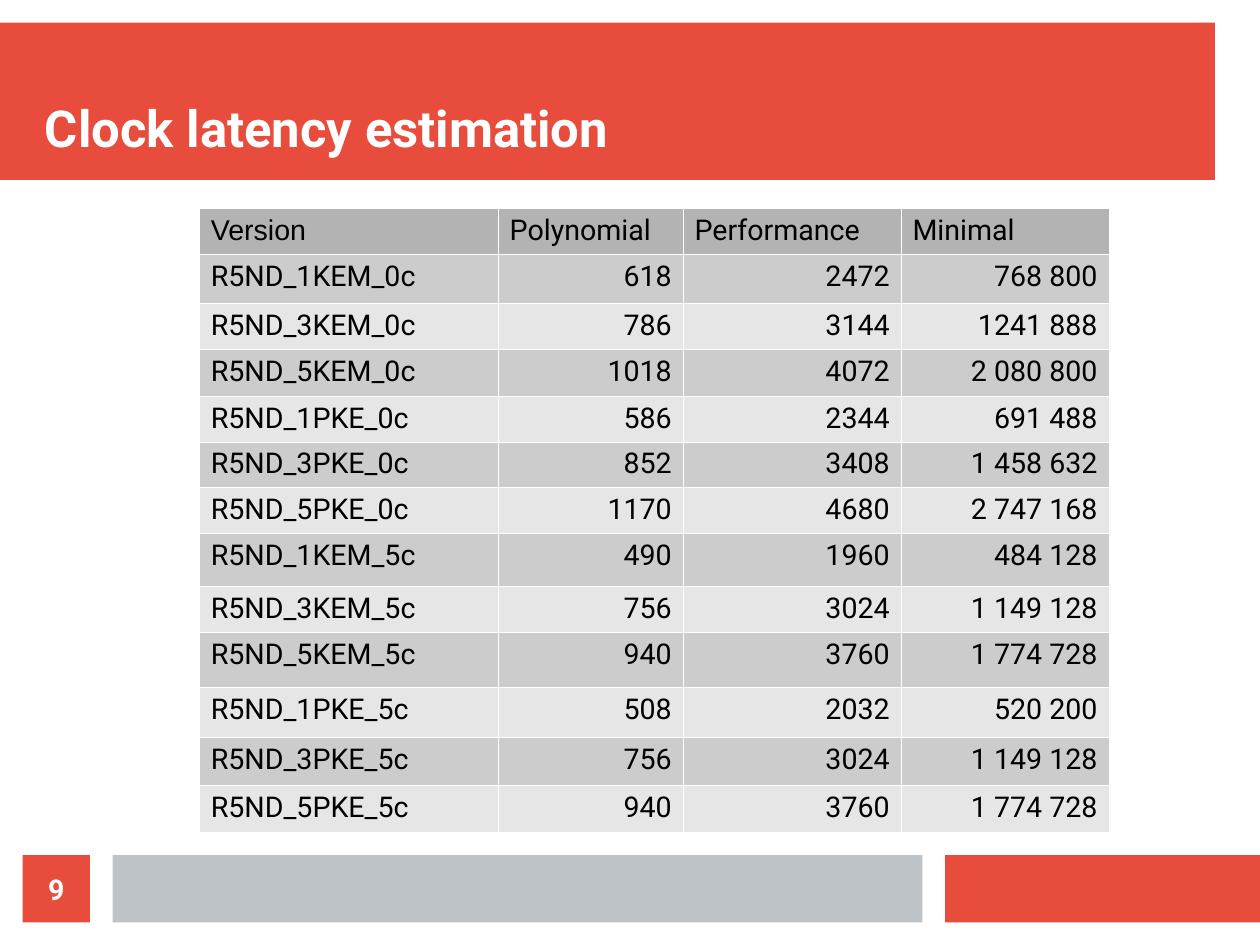
from dataclasses import dataclass

from lxml.etree import SubElement
from pptx import Presentation
from pptx.dml.color import RGBColor
from pptx.enum.shapes import MSO_SHAPE
from pptx.enum.text import MSO_ANCHOR, PP_ALIGN
from pptx.oxml.ns import qn
from pptx.shapes.autoshape import Shape
from pptx.slide import Slide
from pptx.table import Table, _Cell
from pptx.text.text import TextFrame
from pptx.util import Pt

RED = RGBColor(0xE7, 0x4C, 0x3C)
SILVER = RGBColor(0xBD, 0xC3, 0xC7)
WHITE = RGBColor(0xFF, 0xFF, 0xFF)
BLACK = RGBColor(0x00, 0x00, 0x00)
HEADER_GREY = RGBColor(0xB3, 0xB3, 0xB3)
ROW_GREYS = (RGBColor(0xCC, 0xCC, 0xCC), RGBColor(0xE6, 0xE6, 0xE6))


@dataclass(frozen=True)
class Box:
    left: float
    top: float
    width: float
    height: float


@dataclass(frozen=True)
class Bar:
    box: Box
    color: RGBColor


@dataclass(frozen=True)
class Latency:
    version: str
    polynomial: str
    performance: str
    minimal: str

    def values(self) -> tuple[str, ...]:
        return self.version, self.polynomial, self.performance, self.minimal


@dataclass(frozen=True)
class TextStyle:
    size: float
    color: RGBColor
    bold: bool
    font: str = "Roboto"


TITLE_STYLE = TextStyle(32, WHITE, True)
NUMBER_STYLE = TextStyle(18, WHITE, True)
CELL_STYLE = TextStyle(18, BLACK, False)
VERSION_HEADING_STYLE = TextStyle(18, BLACK, False, "Arial")

FOOTER_TOP, FOOTER_HEIGHT = 538.6, 42.5
TITLE_BOX = Box(28.35, 28.35, 737, 70.85)
TITLE_BAND = Bar(Box(0, 14.2, 765.4, 99.2), RED)
FOOTER_RIGHT = Bar(Box(595.3, FOOTER_TOP, 198.4, FOOTER_HEIGHT), RED)
FOOTER_MIDDLE = Bar(Box(70.9, FOOTER_TOP, 510.2, FOOTER_HEIGHT), SILVER)
NUMBER_TILE = Bar(Box(14.2, FOOTER_TOP, 42.5, FOOTER_HEIGHT), RED)

TABLE_BOX = Box(125.6, 131.3, 573, 390.2)
COLUMN_WIDTHS = (188.3, 116.5, 137.3, 130.9)
ROW_HEIGHTS = (26.6, 31, 28.1, 29.5, 28.1, 28.8, 28.8, 33.4, 28.8, 35, 31.2, 30.2, 29.5)

LATENCIES = (
    Latency("Version", "Polynomial", "Performance", "Minimal"),
    Latency("R5ND_1KEM_0c", "618", "2472", "768 800"),
    Latency("R5ND_3KEM_0c", "786", "3144", "1241 888"),
    Latency("R5ND_5KEM_0c", "1018", "4072", "2 080 800"),
    Latency("R5ND_1PKE_0c", "586", "2344", "691 488"),
    Latency("R5ND_3PKE_0c", "852", "3408", "1 458 632"),
    Latency("R5ND_5PKE_0c", "1170", "4680", "2 747 168"),
    Latency("R5ND_1KEM_5c", "490", "1960", "484 128"),
    Latency("R5ND_3KEM_5c", "756", "3024", "1 149 128"),
    Latency("R5ND_5KEM_5c", "940", "3760", "1 774 728"),
    Latency("R5ND_1PKE_5c", "508", "2032", "520 200"),
    Latency("R5ND_3PKE_5c", "756", "3024", "1 149 128"),
    Latency("R5ND_5PKE_5c", "940", "3760", "1 774 728"),
)


def frame(box: Box) -> tuple[Pt, Pt, Pt, Pt]:
    return Pt(box.left), Pt(box.top), Pt(box.width), Pt(box.height)


def write(text: TextFrame, words: str, style: TextStyle, align: PP_ALIGN) -> None:
    paragraph = text.paragraphs[0]
    paragraph.alignment = align
    run = paragraph.add_run()
    run.text = words
    run.font.name = style.font
    run.font.size = Pt(style.size)
    run.font.bold = style.bold
    run.font.color.rgb = style.color


def fit_text(text: TextFrame, anchor: MSO_ANCHOR) -> None:
    text.word_wrap = True
    text.vertical_anchor = anchor
    text.margin_left = text.margin_right = text.margin_top = text.margin_bottom = Pt(0)


def draw_bar(slide: Slide, bar: Bar) -> Shape:
    shape = slide.shapes.add_shape(MSO_SHAPE.RECTANGLE, *frame(bar.box))
    shape.shadow.inherit = False
    shape.fill.solid()
    shape.fill.fore_color.rgb = bar.color
    shape.line.fill.background()
    return shape


def draw_borders(cell: _Cell) -> None:
    properties = cell._tc.get_or_add_tcPr()
    for position, side in enumerate(("a:lnL", "a:lnR", "a:lnT", "a:lnB")):
        line = SubElement(properties, qn(side), w=str(Pt(0.06)))
        fill = SubElement(line, qn("a:solidFill"))
        SubElement(fill, qn("a:srgbClr"), val=str(WHITE))
        # Border lines come before the cell fill
        properties.insert(position, line)


def fill_table(table: Table) -> None:
    table.horz_banding = False
    for column, width in zip(table.columns, COLUMN_WIDTHS):
        column.width = Pt(width)
    for row, height in zip(table.rows, ROW_HEIGHTS):
        row.height = Pt(height)
    for row_index, latency in enumerate(LATENCIES):
        is_heading = row_index == 0
        for column_index, value in enumerate(latency.values()):
            cell = table.cell(row_index, column_index)
            cell.fill.solid()
            cell.fill.fore_color.rgb = HEADER_GREY if is_heading else ROW_GREYS[(row_index - 1) % 2]
            draw_borders(cell)
            is_left = is_heading or column_index == 0
            style = VERSION_HEADING_STYLE if is_heading and column_index == 0 else CELL_STYLE
            write(cell.text_frame, value, style, PP_ALIGN.LEFT if is_left else PP_ALIGN.RIGHT)


def main() -> None:
    deck = Presentation()
    deck.slide_width, deck.slide_height = Pt(793.7), Pt(595.3)
    slide = deck.slides.add_slide(deck.slide_layouts[6])

    # Title band and footer bars
    for bar in (TITLE_BAND, FOOTER_RIGHT, FOOTER_MIDDLE):
        draw_bar(slide, bar)

    # Title
    title = slide.shapes.add_textbox(*frame(TITLE_BOX)).text_frame
    fit_text(title, MSO_ANCHOR.BOTTOM)
    write(title, "Clock latency estimation", TITLE_STYLE, PP_ALIGN.LEFT)

    # Latency table
    latency_table = slide.shapes.add_table(len(LATENCIES), len(COLUMN_WIDTHS), *frame(TABLE_BOX))
    fill_table(latency_table.table)

    # Slide number
    number = draw_bar(slide, NUMBER_TILE).text_frame
    fit_text(number, MSO_ANCHOR.MIDDLE)
    write(number, "9", NUMBER_STYLE, PP_ALIGN.CENTER)

    deck.save("out.pptx")


if __name__ == "__main__":
    main()
